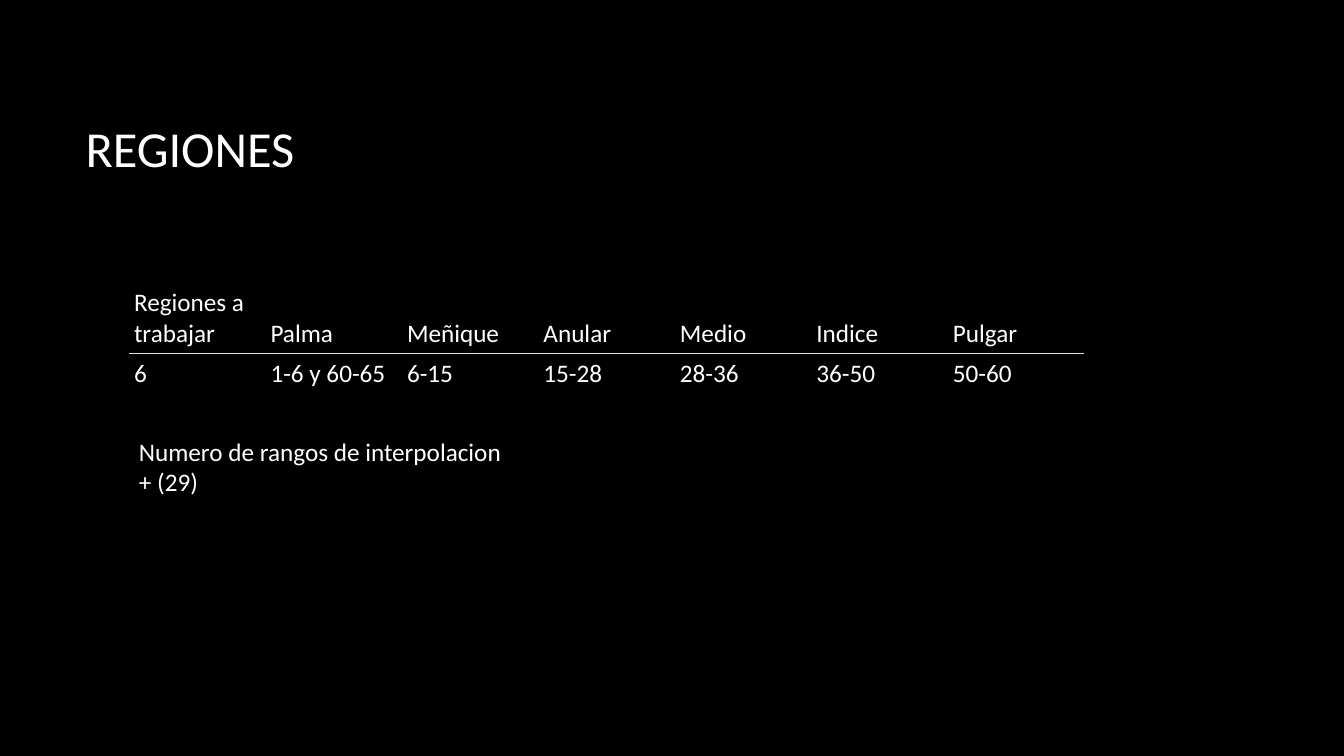
"""Build the REGIONES slide with its table of finger ranges."""
from lxml.etree import SubElement
from pptx import Presentation
from pptx.dml.color import RGBColor
from pptx.enum.text import MSO_ANCHOR
from pptx.oxml.ns import qn
from pptx.util import Pt

TITLE = ["REGIONES"]
RANGES = {
    "Regiones a trabajar": "6",
    "Palma": "1-6 y 60-65",
    "Meñique": "6-15",
    "Anular": "15-28",
    "Medio": "28-36",
    "Indice": "36-50",
    "Pulgar": "50-60",
}
NOTE = ["Numero de rangos de interpolacion", "+ (29)"]

THEME = {"font": "Calibri", "back": "000000", "ink": "FFFFFF", "rule": "DDDDDD",
         "head": 36, "body": 18}
LEFT, TOP, WIDTH = 92.16, 201.6, 682.5
ROWS = (51.2, 28.8)
INSET = 3.6


def write(frame, lines, size=THEME["body"], anchor=MSO_ANCHOR.MIDDLE):
    frame.word_wrap = True
    frame.vertical_anchor = anchor
    for i, line in enumerate(lines):
        para = frame.paragraphs[0] if i == 0 else frame.add_paragraph()
        run = para.add_run()
        run.text = line
        run.font.name = THEME["font"]
        run.font.size = Pt(size)
        run.font.color.rgb = RGBColor.from_string(THEME["ink"])


def add_box(slide, place, lines, **style):
    box = slide.shapes.add_textbox(*map(Pt, place))
    write(box.text_frame, lines, **style)


def set_edges(cell, ruled):
    props = cell._tc.get_or_add_tcPr()
    for side in "LRTB":
        line = SubElement(props, qn(f"a:ln{side}"), w=str(Pt(0.75)))
        if side == ruled:
            fill = SubElement(line, qn("a:solidFill"))
            SubElement(fill, qn("a:srgbClr"), val=THEME["rule"])
        else:
            SubElement(line, qn("a:noFill"))


def add_grid(slide):
    count = len(RANGES)
    frame = slide.shapes.add_table(len(ROWS), count, Pt(LEFT), Pt(TOP),
                                   Pt(WIDTH), Pt(sum(ROWS)))
    table = frame.table
    table.first_row = table.horz_banding = False
    for row, height in zip(table.rows, ROWS):
        row.height = Pt(height)
    for c, pair in enumerate(RANGES.items()):
        table.columns[c].width = Pt(WIDTH / count)
        for r, text in enumerate(pair):
            cell = table.cell(r, c)
            cell.margin_left = cell.margin_right = Pt(INSET)
            cell.margin_top = cell.margin_bottom = Pt(INSET)
            set_edges(cell, "BT"[r])
            cell.fill.background()
            write(cell.text_frame, [text], anchor=None)
            cell.vertical_anchor = (MSO_ANCHOR.BOTTOM, MSO_ANCHOR.TOP)[r]


def main():
    deck = Presentation()
    deck.slide_width, deck.slide_height = Pt(960), Pt(540)
    slide = deck.slides.add_slide(deck.slide_layouts[6])
    back = slide.background.fill
    back.solid()
    back.fore_color.rgb = RGBColor.from_string(THEME["back"])
    add_box(slide, (54, 48.24, 797.76, 114.48), TITLE, size=THEME["head"])
    add_grid(slide)
    add_box(slide, (LEFT, 302.4, 305.28, 61.92), NOTE)
    deck.save("out.pptx")


if __name__ == "__main__":
    main()
